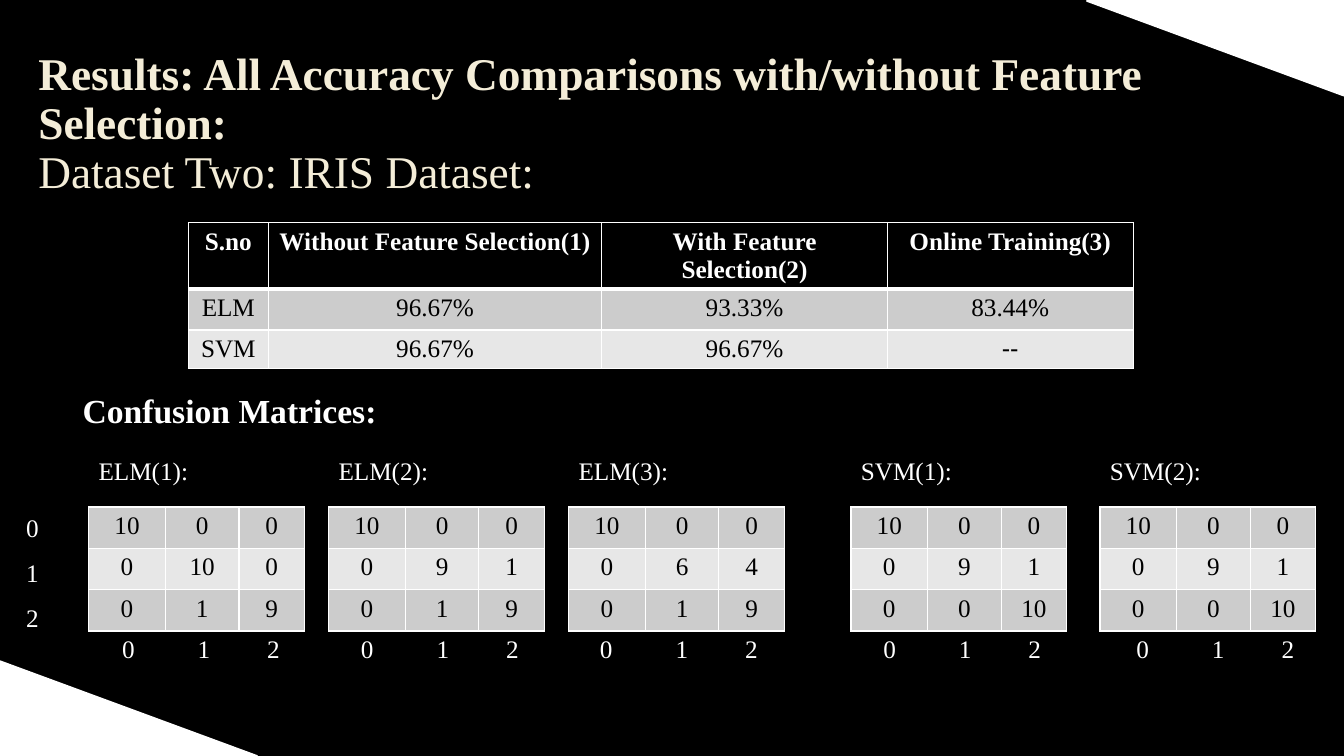
from dataclasses import dataclass

from lxml import etree
from pptx import Presentation
from pptx.dml.color import RGBColor
from pptx.enum.shapes import MSO_SHAPE
from pptx.enum.text import MSO_ANCHOR, MSO_AUTO_SIZE, PP_ALIGN
from pptx.oxml.ns import qn
from pptx.util import Inches, Pt

TRIANGLE = MSO_SHAPE.ISOSCELES_TRIANGLE
MIDDLE = MSO_ANCHOR.MIDDLE
NO_FIT, GROW = MSO_AUTO_SIZE.NONE, MSO_AUTO_SIZE.SHAPE_TO_FIT_TEXT
LEFT, CENTER = PP_ALIGN.LEFT, PP_ALIGN.CENTER


@dataclass(frozen=True)
class Theme:
    font: str = "Times New Roman"
    dash: str = "Arial"
    black: str = "000000"
    white: str = "FFFFFF"
    cream: str = "F4EDD8"
    edge: str = "404040"
    bands: tuple = ("CCCCCC", "E7E7E7")
    title: float = 32.4
    head: float = 24
    body: float = 18


THEME = Theme()
DIGITS = ("0", "1", "2")
SCORES = [
    ["S.no", "Without Feature Selection(1)", "With Feature Selection(2)", "Online Training(3)"],
    ["ELM", "96.67%", "93.33%", "83.44%"],
    ["SVM", "96.67%", "96.67%", "--"],
]
# name, left edge, left edge of the axis digits, counts
MATRICES = [
    ("ELM(1):", 0.88, 0.92, [[10, 0, 0], [0, 10, 0], [0, 1, 9]]),
    ("ELM(2):", 3.26, 3.29, [[10, 0, 0], [0, 9, 1], [0, 1, 9]]),
    ("ELM(3):", 5.64, 5.66, [[10, 0, 0], [0, 6, 4], [0, 1, 9]]),
    ("SVM(1):", 8.44, 8.47, [[10, 0, 0], [0, 9, 1], [0, 0, 10]]),
    ("SVM(2):", 10.91, 10.98, [[10, 0, 0], [0, 9, 1], [0, 0, 10]]),
]


def add_run(para, text, size, color, bold=False, face=THEME.font):
    run = para.add_run()
    run.text = text
    font = run.font
    font.name, font.size, font.bold = face, Pt(size), bold
    font.color.rgb = RGBColor.from_string(color)
    return run


def add_text(slide, box, lines, size=THEME.body, bold=False, space=None):
    shape = slide.shapes.add_textbox(*map(Inches, box))
    frame = shape.text_frame
    frame.word_wrap, frame.auto_size = True, GROW
    for i, line in enumerate(lines):
        para = frame.add_paragraph() if i else frame.paragraphs[0]
        para.line_spacing = space
        add_run(para, line, size, THEME.white, bold)
    return shape


def add_line(parent, tag, width, color):
    """Append a solid line element and return its colour element."""
    line = etree.SubElement(parent, qn(tag), w=str(Pt(width)))
    fill = etree.SubElement(line, qn("a:solidFill"))
    return etree.SubElement(fill, qn("a:srgbClr"), val=color)


def add_cell(cell, text, head, band):
    props = cell._tc.get_or_add_tcPr()
    for side in "LRTB":
        add_line(props, f"a:ln{side}", 3 if head and side == "B" else 1, THEME.white)
    cell.fill.solid()
    cell.fill.fore_color.rgb = RGBColor.from_string(THEME.black if head else band)
    para = cell.text_frame.paragraphs[0]
    para.alignment = CENTER
    add_run(para, text, THEME.body, THEME.white if head else THEME.black, head,
            THEME.dash if text == "--" else THEME.font)


def add_grid(slide, left, top, cols, rows, data, head=False):
    box = (left, top, sum(cols), sum(rows))
    table = slide.shapes.add_table(len(rows), len(cols), *map(Inches, box)).table
    table.first_row = table.horz_banding = False
    for col, width in zip(table.columns, cols):
        col.width = Inches(width)
    for i, (row, height) in enumerate(zip(table.rows, rows)):
        row.height = Inches(height)
        band = THEME.bands[(i - head) % 2]
        for cell, value in zip(row.cells, data[i]):
            add_cell(cell, str(value), head and i == 0, band)


def add_title(slide, box):
    title = slide.shapes.title
    title.left, title.top, title.width, title.height = map(Inches, box)
    frame = title.text_frame
    frame.vertical_anchor, frame.auto_size, frame.word_wrap = MIDDLE, NO_FIT, True
    para = frame.paragraphs[0]
    para.alignment, para.line_spacing = LEFT, 0.9
    parts = [("Results: All Accuracy Comparisons with/without Feature Selection:", True),
             ("Dataset Two: IRIS Dataset:", False)]
    for i, (text, bold) in enumerate(parts):
        if i:
            para.add_line_break()
        props = add_run(para, text, THEME.title, THEME.cream, bold).font._element
        tint = add_line(props, "a:ln", 0.75, THEME.edge)
        etree.SubElement(tint, qn("a:alpha"), val="10000")
        props.insert(0, props[-1])


def add_corner(slide, left, top, turn):
    box = (left, top, 2.55, 0.94)
    shape = slide.shapes.add_shape(TRIANGLE, *map(Inches, box))
    shape.adjustments[0] = 1
    shape.rotation = turn
    shape._element.spPr.xfrm.set("flipV", "1")
    shape.shadow.inherit = False
    shape.fill.solid()
    white = RGBColor.from_string(THEME.white)
    shape.fill.fore_color.rgb = shape.line.color.rgb = white
    shape.line.width = Pt(1.25)


def add_axis(slide, left, top):
    """Digits under a matrix, spread with tab stops."""
    shape = add_text(slide, (left, top, 2.19, 0.4), ["\t".join(DIGITS)])
    frame = shape.text_frame
    frame.margin_left = Inches(0.29)
    props = frame.paragraphs[0]._p.get_or_add_pPr()
    tabs = etree.SubElement(props, qn("a:tabLst"))
    for stop in (0.75, 1.44):
        etree.SubElement(tabs, qn("a:tab"), pos=str(Inches(stop)), algn="l")


def add_matrix(slide, left, top, name, axis, counts):
    add_text(slide, (left, top, 1.54, 0.4), [name])
    add_grid(slide, left, top + 0.56, (0.76, 0.73, 0.65), [0.41] * 3, counts)
    add_axis(slide, axis, top + 1.76)


def main():
    deck = Presentation()
    deck.slide_width, deck.slide_height = Inches(13.33), Inches(7.5)
    slide = deck.slides.add_slide(deck.slide_layouts[5])
    back = slide.background.fill
    back.solid()
    back.fore_color.rgb = RGBColor.from_string(THEME.black)
    add_title(slide, (0.28, 0.55, 13.13, 1.38))
    add_corner(slide, 10.78, 0.01, 0)
    add_corner(slide, 0, 6.56, 180)
    add_grid(slide, 1.87, 2.21, (0.79, 3.31, 2.83, 2.44), (0.41, 0.41, 0.38), SCORES, True)
    add_text(slide, (0.72, 3.82, 3.12, 0.5), ["Confusion Matrices:"], THEME.head, True)
    add_text(slide, (0.16, 4.88, 2.19, 1.42), DIGITS, space=1.5)
    for name, left, axis, counts in MATRICES:
        add_matrix(slide, left, 4.47, name, axis, counts)
    deck.save("out.pptx")


if __name__ == "__main__":
    main()
